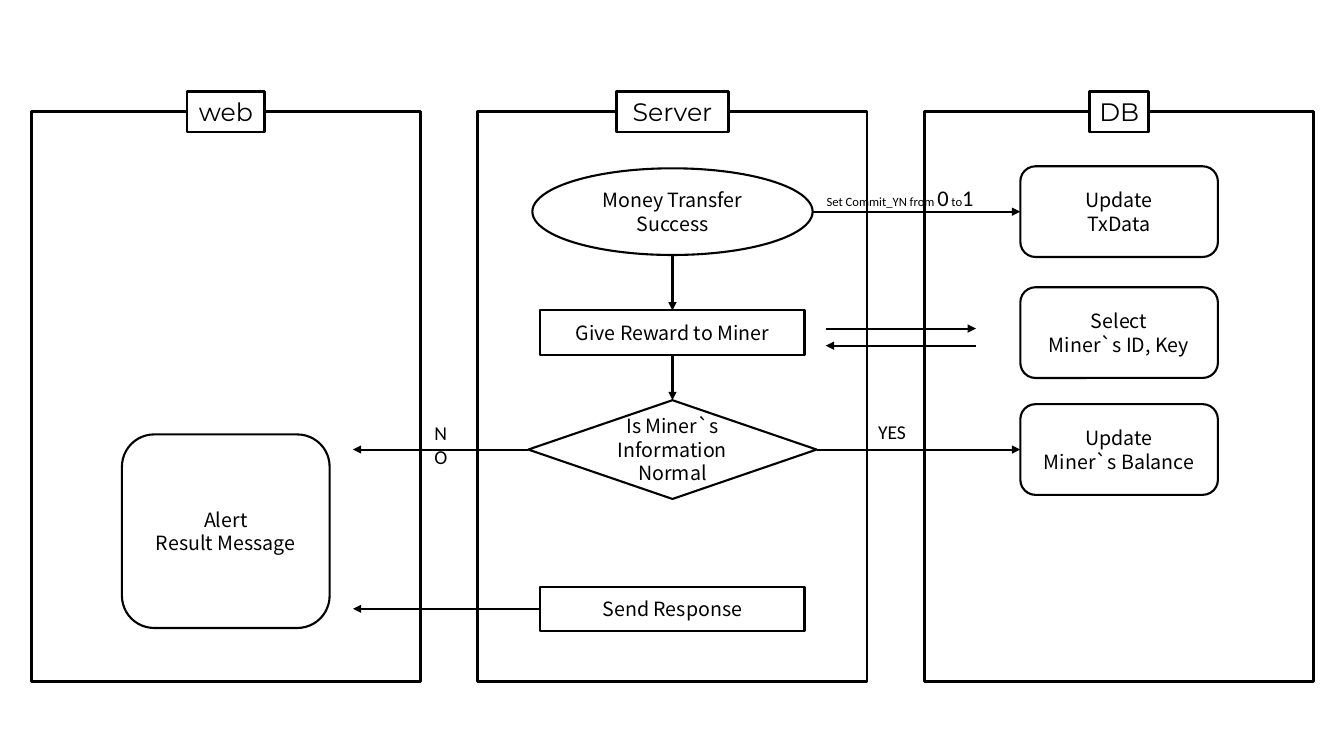
from lxml import etree
from pptx import Presentation
from pptx.dml.color import RGBColor
from pptx.enum.shapes import MSO_CONNECTOR, MSO_SHAPE
from pptx.enum.text import MSO_ANCHOR, PP_ALIGN
from pptx.oxml.ns import qn
from pptx.util import Inches, Pt

BLACK = RGBColor(0, 0, 0)
WHITE = RGBColor(255, 255, 255)
RECT = MSO_SHAPE.RECTANGLE
ROUNDED = MSO_SHAPE.ROUNDED_RECTANGLE
OVAL = MSO_SHAPE.OVAL
DECISION = MSO_SHAPE.FLOWCHART_DECISION
STRAIGHT = MSO_CONNECTOR.STRAIGHT
CENTER, LEFT = PP_ALIGN.CENTER, PP_ALIGN.LEFT
MIDDLE, TOP = MSO_ANCHOR.MIDDLE, MSO_ANCHOR.TOP
SIDE_TOP, SIDE_LEFT, SIDE_BOTTOM, SIDE_RIGHT = range(4)

prs = Presentation()
prs.slide_width, prs.slide_height = Inches(13.33), Inches(7.5)
slide = prs.slides.add_slide(prs.slide_layouts[6])
shapes = slide.shapes


def write(shape, lines, font="Noto Sans CJK KR", size=14, align=CENTER, anchor=MIDDLE, wrap=True):
    frame = shape.text_frame
    frame.word_wrap = wrap
    frame.vertical_anchor = anchor
    for number, line in enumerate(lines):
        paragraph = frame.add_paragraph() if number else frame.paragraphs[0]
        paragraph.alignment = align
        for text, run_size in [(line, size)] if isinstance(line, str) else line:
            run = paragraph.add_run()
            run.text = text
            run.font.name = font
            run.font.size = Pt(run_size)
            run.font.color.rgb = BLACK


def add_box(kind, center, top, width, height, weight=1.5):
    box = shapes.add_shape(kind, Inches(center - width / 2), Inches(top), Inches(width), Inches(height))
    box.shadow.inherit = False
    box.fill.background()
    box.line.color.rgb = BLACK
    box.line.width = Pt(weight)
    return box


WEB, SERVER, DB = [2.24 + 4.43 * lane for lane in range(3)]

for center, name, name_width in [(WEB, "web", 0.77), (SERVER, "Server", 1.11), (DB, "DB", 0.59)]:
    add_box(RECT, center, 1.11, 3.86, 5.65, weight=2)
    heading = add_box(RECT, center, 0.91, name_width, 0.4, weight=2)
    heading.fill.solid()
    heading.fill.fore_color.rgb = WHITE
    write(heading, [name], font="Montserrat", size=18, wrap=False)

steps = {}
for step, kind, center, top, width, height, lines in [
    ("transfer", OVAL, SERVER, 1.67, 2.78, 0.86, ["Money Transfer Success"]),
    ("reward", RECT, SERVER, 3.08, 2.62, 0.44, ["Give Reward to Miner"]),
    ("check", DECISION, SERVER, 3.97, 2.86, 0.98, ["Is Miner`s Information Normal"]),
    ("response", RECT, SERVER, 5.82, 2.62, 0.44, ["Send Response"]),
    ("alert", ROUNDED, WEB, 4.31, 2.06, 1.92, ["Alert", "Result Message"]),
    ("tx_data", ROUNDED, DB, 1.65, 1.96, 0.9, ["Update", "TxData"]),
    ("miner_key", ROUNDED, DB, 2.85, 1.96, 0.9, ["Select", "Miner`s ID, Key"]),
    ("balance", ROUNDED, DB, 4.01, 1.96, 0.9, ["Update", "Miner`s Balance"]),
]:
    steps[step] = add_box(kind, center, top, width, height)
    write(steps[step], lines)

for start, end, source, target in [
    ((8.06, 2.1), (10.12, 2.1), None, ("tx_data", SIDE_LEFT)),
    ((SERVER, 2.53), (SERVER, 3.08), None, ("reward", SIDE_TOP)),
    ((SERVER, 3.52), (SERVER, 3.97), ("reward", SIDE_BOTTOM), ("check", SIDE_TOP)),
    ((8.19, 3.26), (9.68, 3.26), None, None),
    ((9.68, 3.43), (8.19, 3.43), None, None),
    ((8.1, 4.46), (10.12, 4.46), ("check", SIDE_RIGHT), ("balance", SIDE_LEFT)),
    ((5.24, 4.46), (3.5, 4.46), ("check", SIDE_LEFT), None),
    ((5.36, 6.04), (3.5, 6.04), ("response", SIDE_LEFT), None),
]:
    arrow = shapes.add_connector(STRAIGHT, *[Inches(value) for value in start + end])
    if source:
        arrow.begin_connect(steps[source[0]], source[1])
    if target:
        arrow.end_connect(steps[target[0]], target[1])
    arrow.line.color.rgb = BLACK
    arrow.line.width = Pt(1.5)
    etree.SubElement(arrow.line._get_or_add_ln(), qn("a:tailEnd"), type="triangle")
    etree.SubElement(arrow._element.spPr, qn("a:effectLst"))

commit_runs = [("Set Commit_YN from ", 9), ("0", 16), (" to", 9), ("1", 16)]
for left, top, width, height, line in [
    (8.1, 1.78, 1.88, 0.37, commit_runs),
    (8.61, 4.12, 0.51, 0.34, "YES"),
    (4.21, 4.13, 0.45, 0.34, "NO"),
]:
    label = shapes.add_textbox(Inches(left), Inches(top), Inches(width), Inches(height))
    write(label, [line], font="Calibri", align=LEFT, anchor=TOP)

prs.save("out.pptx")
